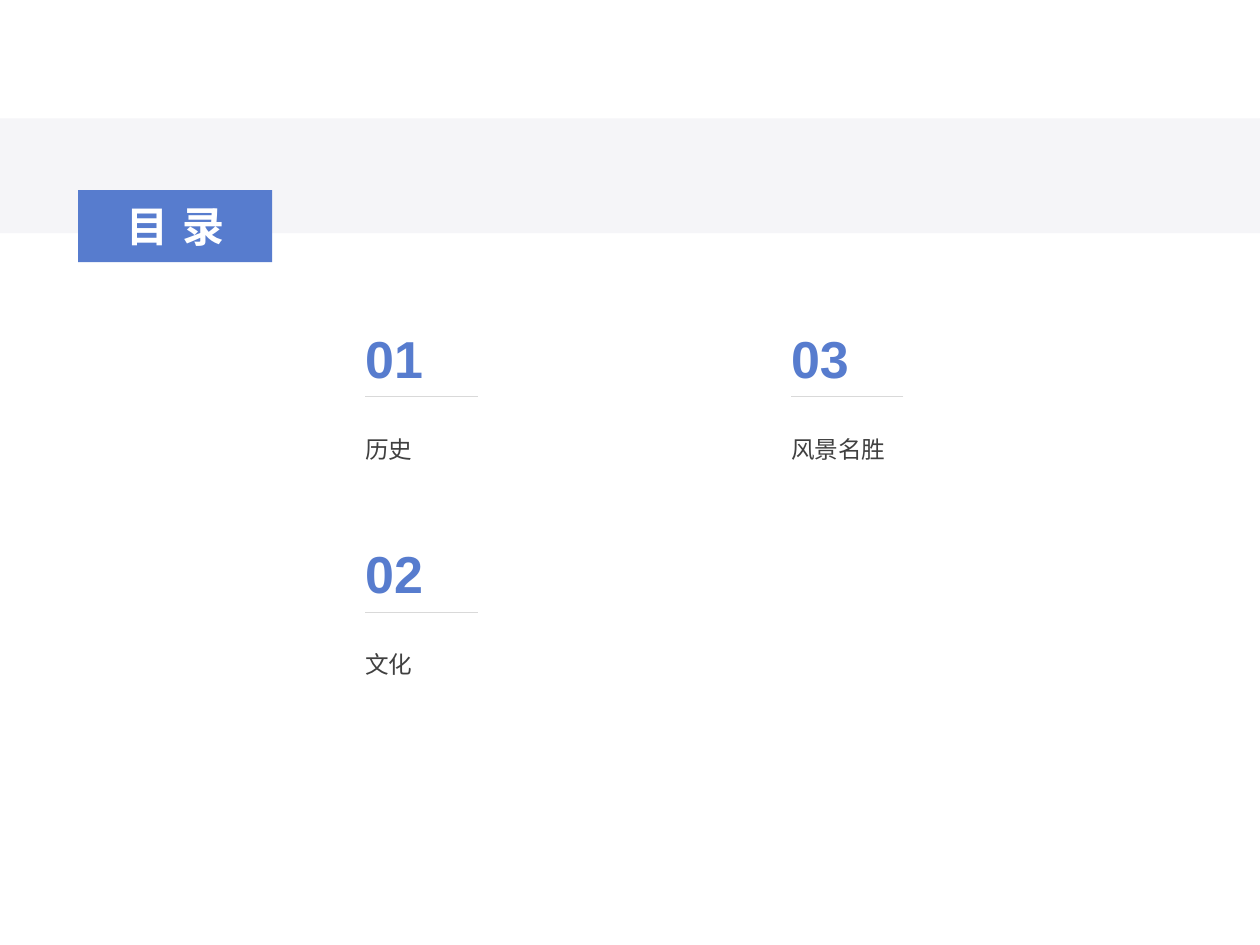
import dataclasses

import pptx
import pptx.dml.color
import pptx.enum.shapes
import pptx.enum.text
import pptx.oxml
import pptx.oxml.ns
import pptx.util

Inches = pptx.util.Inches
ALIGN = pptx.enum.text.PP_ALIGN


@dataclasses.dataclass(frozen=True)
class Theme:
    font: str = "Arial"
    accent: str = "577CCE"
    band: str = "F5F5F8"
    rule: str = "D9D9D9"
    body: str = "404040"
    white: str = "FFFFFF"
    title_size: float = 24
    number_size: float = 29.7
    body_size: float = 13.5


@dataclasses.dataclass(frozen=True)
class Box:
    left: float
    top: float
    width: float
    height: float

    def inches(self):
        return [Inches(v) for v in (self.left, self.top, self.width, self.height)]


THEME = Theme()
ENTRIES = ["历史", "文化", "风景名胜"]
ROWS = 2


def rgb(value):
    return pptx.dml.color.RGBColor.from_string(value)


def write(shape, text, size, color, bold=False):
    """Fill the shape with one formatted paragraph and return it."""
    shape.text_frame.text = text
    para = shape.text_frame.paragraphs[0]
    font = para.runs[0].font
    font.name, font.size, font.bold = THEME.font, pptx.util.Pt(size), bold
    font.color.rgb = rgb(color)
    return para


def add_band(page, box):
    band = page.shapes.add_shape(
        pptx.enum.shapes.MSO_SHAPE.RECTANGLE, *box.inches())
    band.shadow.inherit = False
    band.fill.solid()
    band.fill.fore_color.rgb = rgb(THEME.band)
    band.line.fill.background()


def add_title(page, box, text):
    title = page.shapes.title
    title.left, title.top, title.width, title.height = box.inches()
    title.fill.solid()
    title.fill.fore_color.rgb = rgb(THEME.accent)
    para = write(title, text, THEME.title_size, THEME.white, bold=True)
    para.alignment = ALIGN.CENTER
    para.runs[0].font._element.set("spc", "800")
    frame = title.text_frame
    frame.auto_size = pptx.enum.text.MSO_AUTO_SIZE.NONE
    frame.vertical_anchor = pptx.enum.text.MSO_ANCHOR.MIDDLE
    frame.margin_left = frame.margin_right = Inches(0.07)
    frame.margin_top = frame.margin_bottom = Inches(0.04)
    # Bring the title in front of the band
    page.shapes._spTree.append(title._element)


def add_entry(page, box, number, text):
    # Number
    label = page.shapes.add_textbox(
        *Box(box.left, box.top, 0.67, 0.63).inches())
    label.text_frame.word_wrap = False
    write(label, f"{number:02d}", THEME.number_size, THEME.accent, bold=True)

    # Rule under the number
    left, rule_top = Inches(box.left + 0.1), Inches(box.top + 0.61)
    rule = page.shapes.add_connector(
        pptx.enum.shapes.MSO_CONNECTOR.STRAIGHT,
        left + Inches(0.89), rule_top, left, rule_top)
    rule.line.color.rgb = rgb(THEME.rule)
    rule.line.width = pptx.util.Pt(0.5)
    rule._element.spPr.append(pptx.oxml.parse_xml(
        f"<a:effectLst {pptx.oxml.ns.nsdecls('a')}/>"))

    # Chapter name
    name = page.shapes.add_textbox(
        *Box(box.left, box.top + 0.75, box.width, box.height - 0.75).inches())
    name.text_frame.word_wrap = True
    para = write(name, text, THEME.body_size, THEME.body)
    para.alignment = ALIGN.JUSTIFY
    para.line_spacing = 1.5
    para.space_after = pptx.util.Pt(20)


def add_contents(page, box, entries):
    """Number the entries down each column in turn."""
    column_step, row_step = 3.38, 1.71
    for index, text in enumerate(entries):
        column, row = divmod(index, ROWS)
        cell = Box(box.left + column * column_step,
                   box.top + row * row_step,
                   box.width - column_step, box.height - row_step)
        add_entry(page, cell, index + 1, text)


def main():
    deck = pptx.Presentation()
    deck.slide_width, deck.slide_height = Inches(10), Inches(7.5)
    page = deck.slides.add_slide(deck.slide_layouts.get_by_name("Title Only"))
    page.background.fill.solid()
    page.background.fill.fore_color.rgb = rgb(THEME.white)
    add_band(page, Box(0, 0.94, 10, 0.91))
    add_contents(page, Box(2.8, 2.54, 6.04, 3.26), ENTRIES)
    add_title(page, Box(0.62, 1.51, 1.54, 0.57), "目录")
    deck.save("out.pptx")


if __name__ == "__main__":
    main()
